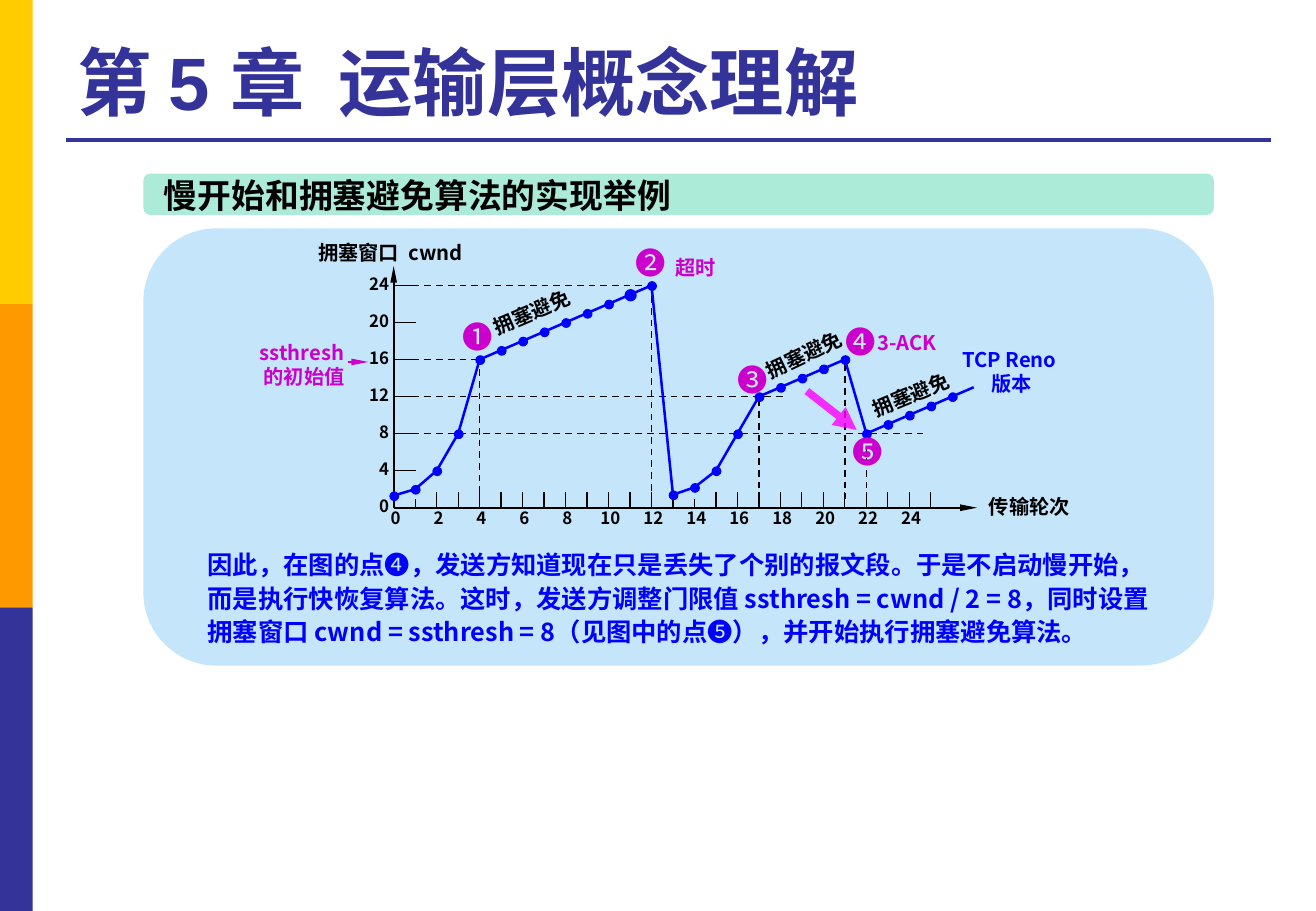
from lxml.etree import SubElement
from pptx import Presentation
from pptx.dml.color import RGBColor
from pptx.enum.dml import MSO_LINE
from pptx.enum.shapes import MSO_CONNECTOR, MSO_SHAPE
from pptx.enum.text import MSO_ANCHOR, PP_ALIGN
from pptx.oxml.ns import qn
from pptx.util import Inches, Pt

SANS = "Noto Sans CJK SC"
BLACK, BLUE, PURPLE, NAVY = "000000", "0000FF", "CC00CC", "333399"
LEFT, CENTER, RIGHT = PP_ALIGN.LEFT, PP_ALIGN.CENTER, PP_ALIGN.RIGHT
AXIS_LEFT, AXIS_BOTTOM = 3.24, 4.18


def color(value):
    return RGBColor.from_string(value)


def round_x(number):
    return AXIS_LEFT + number * 4.42 / 25


def window_y(size):
    return AXIS_BOTTOM - size * 1.83 / 24


class SlideBuilder:
    def __init__(self, page):
        self.page = page

    def shape(self, kind, left, top, width, height, fill, line=None, corner=None):
        shape = self.page.shapes.add_shape(
            kind, Inches(left), Inches(top), Inches(width), Inches(height))
        shape.shadow.inherit = False
        shape.fill.solid()
        shape.fill.fore_color.rgb = color(fill)
        if line:
            shape.line.color.rgb = color(fill)
            shape.line.width = Pt(line)
        else:
            shape.line.fill.background()
        if corner:
            shape.adjustments[0] = corner

    def line(self, start, end, ink=BLACK, width=1, dashed=False, arrow=None, alpha=None):
        line = self.page.shapes.add_connector(
            MSO_CONNECTOR.STRAIGHT, *(Inches(value) for value in (*start, *end)))
        line.line.color.rgb = color(ink)
        line.line.width = Pt(width)
        if dashed:
            line.line.dash_style = MSO_LINE.DASH
        properties = line._element.spPr
        outline = properties.find(qn("a:ln"))
        if alpha:
            tone = outline.find(qn("a:solidFill"))[0]
            SubElement(tone, qn("a:alpha"), val=str(alpha * 1000))
        if arrow:
            head_width, head_length = arrow
            SubElement(outline, qn("a:tailEnd"), type="triangle", w=head_width, len=head_length)
        SubElement(properties, qn("a:effectLst"))

    def curve(self, points):
        corners = [(Inches(x), Inches(y)) for x, y in points]
        builder = self.page.shapes.build_freeform(*corners[0])
        builder.add_line_segments(corners[1:], close=False)
        curve = builder.convert_to_shape()
        curve.shadow.inherit = False
        curve.fill.background()
        curve.line.color.rgb = color(BLUE)
        curve.line.width = Pt(1.5)

    def text(self, left, top, width, height, lines, size=12, ink=BLACK, bold=True,
             font=SANS, align=LEFT, anchor=MSO_ANCHOR.TOP, angle=0, wrap=False, spacing=None):
        box = self.page.shapes.add_textbox(
            Inches(left), Inches(top), Inches(width), Inches(height))
        box.rotation = angle
        frame = box.text_frame
        frame.word_wrap = wrap
        frame.vertical_anchor = anchor
        for index, spans in enumerate(lines):
            para = frame.add_paragraph() if index else frame.paragraphs[0]
            para.alignment = align
            if spacing:
                para.line_spacing = spacing
            para.font.size = Pt(size)
            para.font.color.rgb = color(ink)
            para.font.name = font
            SubElement(para._p.pPr.find(qn("a:defRPr")), qn("a:ea"), typeface=SANS)
            if isinstance(spans, str):
                para.font.bold = bold
                para.add_run().text = spans
                continue
            for words, heavy in spans:
                span = para.add_run()
                span.text = words
                span.font.bold = heavy


def draw_frame(slide):
    for index, fill in enumerate(("FFCC00", "FF9900", NAVY)):
        slide.shape(MSO_SHAPE.RECTANGLE, 0, index * 2.5, 0.27, 2.5, fill)
    slide.line((0.54, 1.15), (10.46, 1.15), NAVY, 2.25)
    slide.text(0.54, 0.21, 9.91, 0.87, ["第 5 章  运输层概念理解"], 44, NAVY,
               font="Arial", anchor=MSO_ANCHOR.BOTTOM, wrap=True)
    slide.shape(MSO_SHAPE.ROUNDED_RECTANGLE, 1.18, 1.43, 8.81, 0.34, "ABEBD7", corner=0.167)
    slide.text(1.25, 1.39, 4.41, 0.44, ["慢开始和拥塞避免算法的实现举例"], 20)
    slide.shape(MSO_SHAPE.ROUNDED_RECTANGLE, 1.18, 1.88, 8.81, 3.6, "C5E5FB")


def draw_axes(slide):
    origin = (AXIS_LEFT, AXIS_BOTTOM)
    slide.line(origin, (8.04, AXIS_BOTTOM), arrow=("sm", "lg"))
    slide.line(origin, (AXIS_LEFT, 2.19), arrow=("sm", "lg"))
    for number in range(1, 26):
        top = 4.11 if number in (1, 14) else 4.05
        slide.line((round_x(number), top), (round_x(number), AXIS_BOTTOM), width=0.75)
    for number in range(0, 25, 2):
        slide.text(round_x(number) - 0.17, 4.13, 0.37, 0.27, [str(number)], 10, align=CENTER)
    for size in range(0, 25, 4):
        y = window_y(size)
        if size:
            slide.line((AXIS_LEFT, y), (3.42, y), width=0.75)
        slide.text(2.93, y - 0.15, 0.37, 0.27, [str(size)], 10, align=RIGHT)
    slide.text(8.04, 4.02, 0.94, 0.32, ["传输轮次"])
    slide.text(2.52, 1.93, 1.53, 0.32, ["拥塞窗口  cwnd"])


def draw_guides(slide):
    for size, right in ((24, 5.37), (16, 3.95), (12, 6.44), (8, 7.61)):
        slide.line((3.3, window_y(size)), (right, window_y(size)), dashed=True)
    for number, top in ((4, 3.04), (12, 2.44), (17, 3.29), (21, 3), (22, 3.58)):
        slide.line((round_x(number), top), (round_x(number), 4.11), dashed=True)


def draw_window(slide):
    phases = (
        (0, [1.3, 2, 4, 8, *range(16, 25)]),
        (13, [1.4, 2.2, 4, 8, *range(12, 17)]),
        (22, [*range(8, 14)]),
    )
    previous = None
    for first, sizes in phases:
        points = [(round_x(first + step), window_y(size)) for step, size in enumerate(sizes)]
        if previous:
            slide.line(previous, points[0], BLUE, 1.5)
        slide.curve(points)
        previous = points[-1]
        for step, (x, y) in enumerate(points):
            number = first + step
            if number < 27:
                slide.shape(MSO_SHAPE.OVAL, x - 0.03, y - 0.03, 0.07, 0.07, BLUE,
                            line=2.25 if number == 11 else 0.75)


def draw_labels(slide):
    for left, top, angle in ((3.91, 2.42, 336.8), (6.15, 2.77, 334.5), (7.03, 3.1, 337.4)):
        slide.text(left, top, 0.94, 0.32, ["拥塞避免"], align=CENTER, angle=angle)
    badges = (("❶", 3.92, 2.77), ("❷", 5.34, 2.16), ("❸", 6.18, 3.12),
              ("❹", 7.07, 2.81), ("❺", 7.13, 3.72))
    for badge, x, y in badges:
        slide.text(x - 0.21, y - 0.2, 0.43, 0.4, [badge], 18, PURPLE, bold=False,
                   align=CENTER, anchor=MSO_ANCHOR.MIDDLE)
    slide.text(5.46, 2.05, 0.87, 0.3, ["超时"], ink=PURPLE, wrap=True)
    slide.text(7.12, 2.67, 0.89, 0.3, ["3-ACK"], ink=PURPLE, wrap=True)
    slide.text(7.75, 2.81, 1.15, 0.54, ["TCP Reno ", "版本"], ink=BLUE, align=CENTER)
    slide.text(2.02, 2.75, 0.93, 0.5, ["ssthresh", " 的初始值"], ink=PURPLE, align=CENTER)
    slide.line((2.86, 2.98), (3.03, 2.98), PURPLE, 1.5, arrow=("sm", "lg"))
    slide.line((6.64, 3.22), (7.05, 3.54), "FF00FF", 4.5, arrow=("med", "med"), alpha=80)


def draw_conclusion(slide):
    spans = [
        ("因此，在图的点", True),
        ("❹", False),
        ("，发送方知道现在只是丢失了个别的报文段。于是不启动慢开始，而是执行快恢复算法。"
         "这时，发送方调整门限值 ssthresh = cwnd / 2 = 8，同时设置拥塞窗口 "
         "cwnd = ssthresh = 8（见图中的点", True),
        ("❺", False),
        ("），并开始执行拥塞避免算法。", True),
    ]
    slide.text(1.61, 4.45, 8.01, 0.93, [spans], 15, BLUE, wrap=True, spacing=1.1)


def main():
    deck = Presentation()
    deck.slide_width, deck.slide_height = Inches(10.83), Inches(7.5)
    slide = SlideBuilder(deck.slides.add_slide(deck.slide_layouts[6]))
    for draw in (draw_frame, draw_axes, draw_guides, draw_window, draw_labels, draw_conclusion):
        draw(slide)
    deck.save("out.pptx")


if __name__ == "__main__":
    main()
